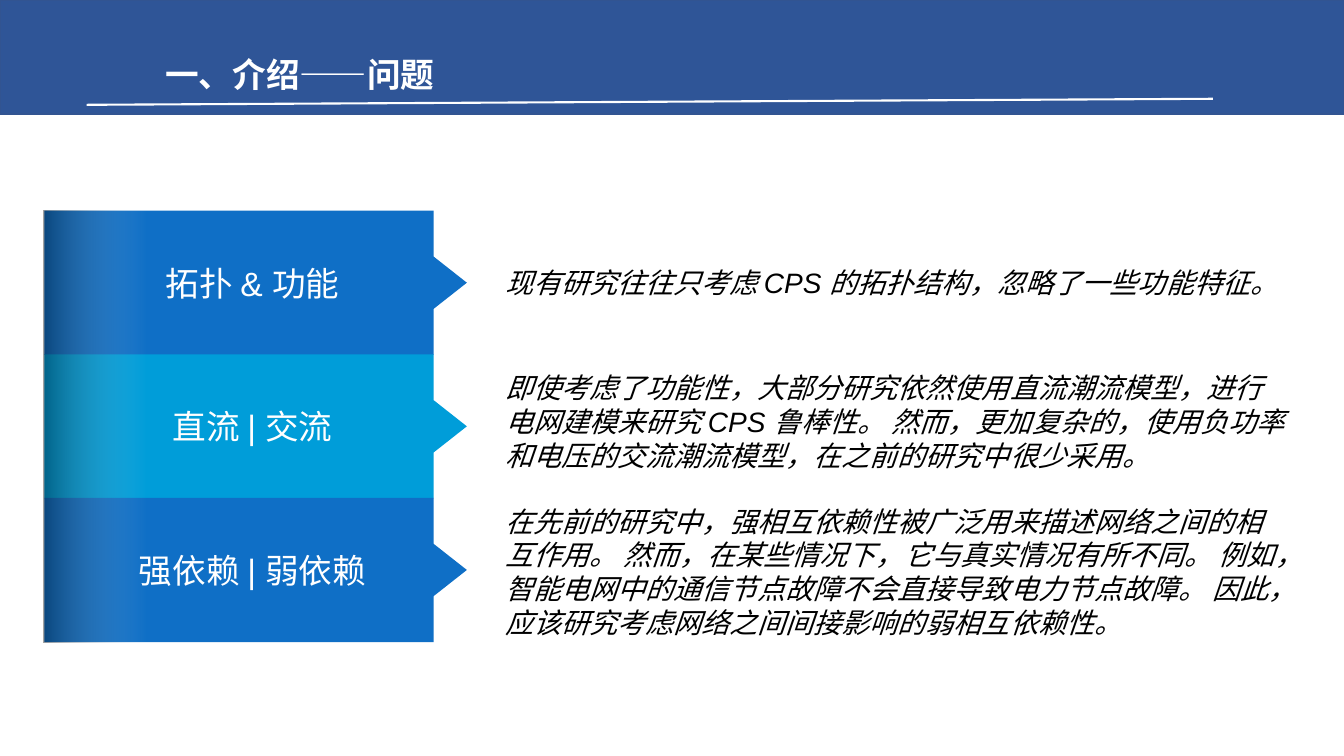
from dataclasses import dataclass

from lxml.etree import SubElement
from pptx import Presentation
from pptx.dml.color import RGBColor
from pptx.enum.shapes import MSO_CONNECTOR, MSO_SHAPE
from pptx.enum.text import MSO_ANCHOR, MSO_AUTO_SIZE, PP_ALIGN
from pptx.oxml.ns import qn
from pptx.util import Inches, Pt


@dataclass(frozen=True)
class Theme:
    band: RGBColor = RGBColor(0x2F, 0x55, 0x97)
    band_line: RGBColor = RGBColor(0x32, 0x54, 0x91)
    blue: RGBColor = RGBColor(0x0F, 0x6F, 0xC6)
    cyan: RGBColor = RGBColor(0x00, 0x9D, 0xD9)
    white: RGBColor = RGBColor(0xFF, 0xFF, 0xFF)
    black: RGBColor = RGBColor(0, 0, 0)
    title_font: str = "Noto Sans CJK SC"
    body_font: str = "Arial"
    heading_size: Pt = Pt(24)
    body_size: Pt = Pt(20)


@dataclass(frozen=True)
class Problem:
    label: str
    text: str
    fill: RGBColor
    text_top: float


THEME = Theme()

PROBLEMS = [
    Problem("拓扑 & 功能",
            "现有研究往往只考虑 CPS 的拓扑结构，忽略了一些功能特征。",
            THEME.blue, 2.09),
    Problem("直流 | 交流",
            "即使考虑了功能性，大部分研究依然使用直流潮流模型，进行电网建模来研究 CPS 鲁棒性。 "
            "然而，更加复杂的，使用负功率和电压的交流潮流模型，在之前的研究中很少采用。",
            THEME.cyan, 3.47),
    Problem("强依赖 | 弱依赖",
            "在先前的研究中，强相互依赖性被广泛用来描述网络之间的相互作用。 "
            "然而，在某些情况下，它与真实情况有所不同。 "
            "例如，智能电网中的通信节点故障不会直接导致电力节点故障。 "
            "因此，应该研究考虑网络之间间接影响的弱相互依赖性。",
            THEME.blue, 4.96),
]

# Label geometry, in inches
LEFT, TOP, ROW_H = 0.44, 2.09, 1.43
BODY_RIGHT, TIP = 4.3, 4.63
PITCH, HALF_ARROW = 1.425, 0.26


def write(tf, text: str, font: str, size: Pt, color: RGBColor, align: PP_ALIGN,
          bold: bool = False, italic: bool = False) -> None:
    tf.text = text
    tf.word_wrap = True
    p = tf.paragraphs[0]
    p.alignment = align
    p.font.name, p.font.size = font, size
    p.font.bold, p.font.italic = bold, italic
    p.font.color.rgb = color


def set_insets(tf, left: float, top: float, right: float, bottom: float) -> None:
    tf.margin_left, tf.margin_top = Inches(left), Inches(top)
    tf.margin_right, tf.margin_bottom = Inches(right), Inches(bottom)
    tf.vertical_anchor = MSO_ANCHOR.MIDDLE


def add_header(s) -> None:
    band = s.shapes.add_shape(MSO_SHAPE.RECTANGLE, 0, 0, Inches(13.33), Inches(1.13))
    band.shadow.inherit = False
    band.fill.solid()
    band.fill.fore_color.rgb = THEME.band
    band.line.color.rgb = THEME.band_line
    band.line.width = Pt(1)
    # The band lies behind the title
    s.shapes._spTree.insert(2, band._element)

    title = s.shapes.title
    title.left, title.top = Inches(1.54), Inches(0.48)
    title.width, title.height = Inches(3.92), Inches(0.5)
    tf = title.text_frame
    write(tf, "一、介绍——问题", THEME.title_font, THEME.heading_size, THEME.white,
          PP_ALIGN.LEFT, bold=True)
    tf.vertical_anchor = MSO_ANCHOR.TOP
    tf.auto_size = MSO_AUTO_SIZE.SHAPE_TO_FIT_TEXT

    rule = s.shapes.add_connector(MSO_CONNECTOR.STRAIGHT, Inches(0.86), Inches(1.04),
                                  Inches(12.03), Inches(0.98))
    rule.line.color.rgb = THEME.white
    rule.line.width = Pt(1.5)
    SubElement(rule._element.spPr, qn("a:effectLst"))


def add_label(s, problem: Problem, top: float) -> None:
    middle, bottom = top + ROW_H / 2, top + ROW_H
    outline = [(BODY_RIGHT, top), (BODY_RIGHT, middle - HALF_ARROW), (TIP, middle),
               (BODY_RIGHT, middle + HALF_ARROW), (BODY_RIGHT, bottom), (LEFT, bottom)]
    builder = s.shapes.build_freeform(Inches(LEFT), Inches(top))
    builder.add_line_segments([(Inches(x), Inches(y)) for x, y in outline], close=True)
    sp = builder.convert_to_shape()
    sp.shadow.inherit = False
    sp.fill.solid()
    sp.fill.fore_color.rgb = problem.fill
    sp.line.fill.background()
    write(sp.text_frame, problem.label, THEME.body_font, THEME.heading_size,
          THEME.white, PP_ALIGN.CENTER)
    set_insets(sp.text_frame, 0.1, 0.05, 0.16, 0.05)


def add_description(s, problem: Problem) -> None:
    box = s.shapes.add_textbox(Inches(5.01), Inches(problem.text_top),
                               Inches(7.77), Inches(1.42))
    write(box.text_frame, problem.text, THEME.body_font, THEME.body_size,
          THEME.black, PP_ALIGN.LEFT, italic=True)
    set_insets(box.text_frame, 0, 0, 0, 0)


def add_shade(s) -> None:
    shade = s.shapes.add_shape(MSO_SHAPE.RECTANGLE, Inches(0.43), Inches(TOP),
                               Inches(1.03), Inches(4.28))
    shade.shadow.inherit = False
    shade.line.fill.background()
    shade.fill.gradient()
    shade.fill.gradient_angle = 180
    stops = shade.fill.gradient_stops
    for stop, position, color in zip(stops, (0, 1), (THEME.white, THEME.black)):
        stop.position = position
        stop.color.rgb = color
    # Transparent on the right, 37% black on the left
    colors = shade._element.spPr.iter(qn("a:srgbClr"))
    for color, alpha in zip(colors, (0, 37000)):
        SubElement(color, qn("a:alpha")).set("val", str(alpha))


def main() -> None:
    prs = Presentation()
    prs.slide_width, prs.slide_height = Inches(13.33), Inches(7.5)
    s = prs.slides.add_slide(prs.slide_layouts[5])
    add_header(s)
    for row, problem in enumerate(PROBLEMS):
        add_label(s, problem, TOP + row * PITCH)
        add_description(s, problem)
    add_shade(s)
    prs.save("out.pptx")


if __name__ == "__main__":
    main()
